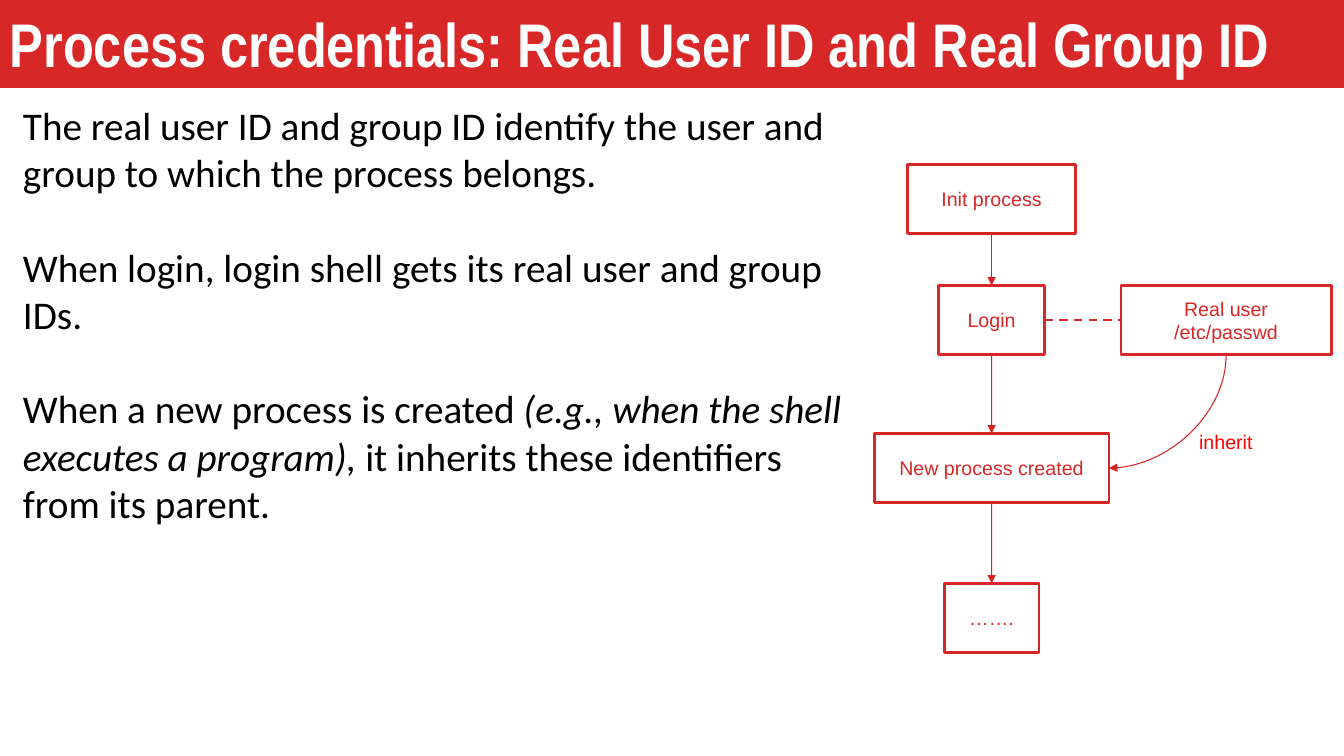
import pptx
import pptx.dml.color
import pptx.enum.dml
import pptx.enum.shapes
import pptx.enum.text
import pptx.oxml.ns
import pptx.util
import lxml.etree

Cm = pptx.util.Cm
Pt = pptx.util.Pt
COLORS = {
    "red": "D82727",
    "arrow": "D82222",
    "label": "FF0000",
    "white": "FFFFFF",
    "black": "000000",
}
BOX_HEIGHT = 1.75
COLUMN_CENTER = 24.99


def color(name):
    return pptx.dml.color.RGBColor.from_string(COLORS[name])


def add_element(parent, tag, **attributes):
    return lxml.etree.SubElement(parent, pptx.oxml.ns.qn(tag), attributes)


def write_text(frame, paragraphs, font="Arial", size=14, text_color="red", bold=False,
               align=pptx.enum.text.PP_ALIGN.LEFT, space_after=0):
    for index, runs in enumerate(paragraphs):
        paragraph = frame.paragraphs[0] if index == 0 else frame.add_paragraph()
        paragraph.alignment = align
        if index < len(paragraphs) - 1:
            paragraph.space_after = Pt(space_after)
        for text, italic in runs:
            run = paragraph.add_run()
            run.text = text
            run.font.name = font
            run.font.size = Pt(size)
            run.font.bold = bold
            run.font.italic = italic
            run.font.color.rgb = color(text_color)


class SlideBuilder:
    def __init__(self, slide):
        self.shapes = slide.shapes
        self.border = Pt(2)

    def rectangle(self, left, top, width, height, lines, fill="white", **text_format):
        shape = self.shapes.add_shape(
            pptx.enum.shapes.MSO_SHAPE.RECTANGLE,
            Cm(left), Cm(top), Cm(width), Cm(height))
        shape.shadow.inherit = False
        shape.fill.solid()
        shape.fill.fore_color.rgb = color(fill)
        shape.line.color.rgb = color("red")
        shape.line.width = self.border
        shape.text_frame.vertical_anchor = pptx.enum.text.MSO_ANCHOR.MIDDLE
        write_text(shape.text_frame, [[(line, False)] for line in lines], **text_format)
        return shape

    def box(self, center, top, width, *lines):
        return self.rectangle(center - width / 2, top, width, BOX_HEIGHT, lines,
                              align=pptx.enum.text.PP_ALIGN.CENTER)

    def text(self, left, top, width, height, paragraphs, wrap=True, **text_format):
        frame = self.shapes.add_textbox(Cm(left), Cm(top), Cm(width), Cm(height)).text_frame
        frame.word_wrap = wrap
        frame.auto_size = pptx.enum.text.MSO_AUTO_SIZE.SHAPE_TO_FIT_TEXT
        write_text(frame, paragraphs, **text_format)

    def connector(self, kind, stroke, width, arrow):
        connector = self.shapes.add_connector(kind, 0, 0, 0, 0)
        connector.line.color.rgb = color(stroke)
        connector.line.width = Pt(width)
        if arrow:
            add_element(connector.line._get_or_add_ln(), "a:tailEnd", type="triangle")
        add_element(connector._element.spPr, "a:effectLst")
        return connector

    def straight(self, start, start_side, end, end_side, stroke="arrow", width=0.75, arrow=True):
        connector = self.connector(
            pptx.enum.shapes.MSO_CONNECTOR.STRAIGHT, stroke, width, arrow)
        connector.begin_connect(start, start_side)
        connector.end_connect(end, end_side)
        return connector

    def curve_down_left(self, start, end):
        begin_x, begin_y = start.left + start.width // 2, start.top + start.height
        end_x, end_y = end.left + end.width, end.top + end.height // 2
        across, down = begin_x - end_x, end_y - begin_y
        connector = self.connector(
            pptx.enum.shapes.MSO_CONNECTOR.CURVE, "arrow", 0.75, True)
        connector.left = (begin_x + end_x - down) // 2
        connector.top = (begin_y + end_y - across) // 2
        connector.width, connector.height = down, across
        properties = connector._element.spPr
        properties.find(pptx.oxml.ns.qn("a:xfrm")).set("rot", str(90 * 60000))
        properties.find(pptx.oxml.ns.qn("a:prstGeom")).set("prst", "curvedConnector2")


def main():
    presentation = pptx.Presentation()
    presentation.slide_width = Cm(33.87)
    presentation.slide_height = Cm(19.05)
    builder = SlideBuilder(presentation.slides.add_slide(presentation.slide_layouts[6]))

    builder.rectangle(0, 0, 33.87, 2.18,
                      ["Process credentials: Real User ID and Real Group ID"],
                      fill="red", font="Arial Narrow", size=44, text_color="white", bold=True)
    builder.text(0.33, 2.43, 21.23, 11.02, [
        [("The real user ID and group ID identify the user and group to which "
          "the process belongs.", False)],
        [("When login, login shell gets its real user and group IDs.", False)],
        [("When a new process is created ", False),
         ("(e.g., when the shell executes a program), ", True),
         ("it inherits these identifiers from its parent.", False)],
    ], font="Calibri", size=28, text_color="black", space_after=34)

    process_steps = [
        ("Init process", 4.14, 4.22),
        ("Login", 7.19, 2.67),
        ("New process created", 10.92, 5.92),
        ("…….", 14.7, 2.39),
    ]
    steps = [builder.box(COLUMN_CENTER, top, width, label)
             for label, top, width in process_steps]
    login, new_process = steps[1:3]
    real_user = builder.box(30.9, 7.19, 5.3, "Real user", "/etc/passwd")

    for upper, lower in zip(steps, steps[1:]):
        builder.straight(upper, 2, lower, 0)
    lookup = builder.straight(login, 3, real_user, 1, stroke="red", width=1.5, arrow=False)
    lookup.line.dash_style = pptx.enum.dml.MSO_LINE.DASH
    builder.curve_down_left(real_user, new_process)
    builder.text(29.97, 10.71, 1.85, 0.86, [[("inherit", False)]],
                 wrap=False, text_color="label")

    presentation.save("out.pptx")


if __name__ == "__main__":
    main()
